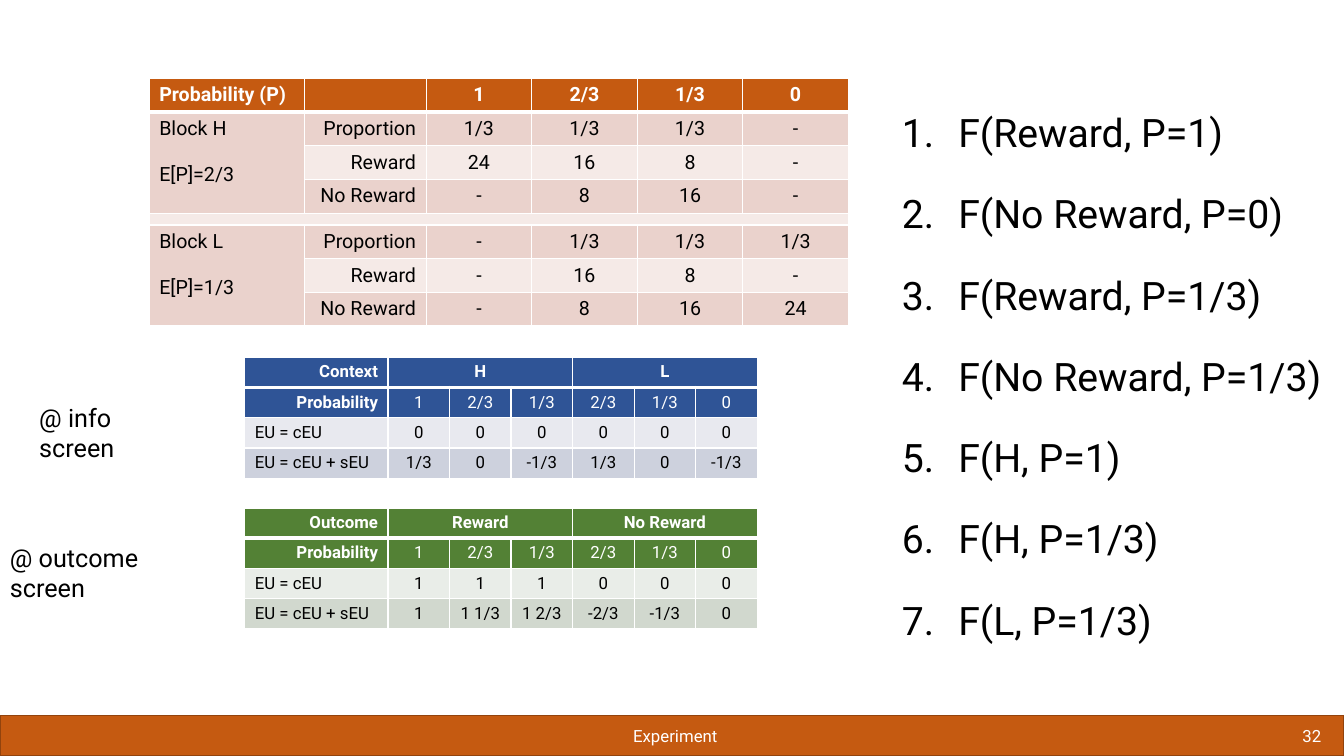
"""Build the experiment slide with probability tables and a list of contrasts."""
from lxml import etree
from pptx import Presentation
from pptx.dml.color import RGBColor
from pptx.enum.shapes import MSO_SHAPE
from pptx.enum.text import MSO_ANCHOR, PP_ALIGN
from pptx.oxml.ns import qn
from pptx.util import Cm, Pt

LEFT, CENTER, RIGHT = PP_ALIGN.LEFT, PP_ALIGN.CENTER, PP_ALIGN.RIGHT
TOP, MIDDLE = MSO_ANCHOR.TOP, MSO_ANCHOR.MIDDLE
RECTANGLE = MSO_SHAPE.RECTANGLE
FONT = "Roboto"
WHITE = RGBColor(0xFF, 0xFF, 0xFF)
BLACK = RGBColor(0x00, 0x00, 0x00)
ORANGE = RGBColor(0xC5, 0x5A, 0x11)
BROWN = RGBColor(0x92, 0x43, 0x0D)
ROSE = RGBColor(0xEA, 0xD2, 0xCC)
PALE_ROSE = RGBColor(0xF5, 0xEA, 0xE7)
BLUE = RGBColor(0x2F, 0x54, 0x96)
PALE_BLUE = RGBColor(0xE8, 0xE9, 0xEF)
LIGHT_BLUE = RGBColor(0xCD, 0xD1, 0xDD)
GREEN = RGBColor(0x53, 0x81, 0x35)
PALE_GREEN = RGBColor(0xE9, 0xED, 0xE8)
LIGHT_GREEN = RGBColor(0xD1, 0xD8, 0xCE)


def add_text(tf, lines, size, color, align=LEFT, bold=False):
    for i, line in enumerate(lines):
        p = tf.paragraphs[0] if i == 0 else tf.add_paragraph()
        p.alignment = align
        r = p.add_run()
        r.text = line
        r.font.name, r.font.size = FONT, Pt(size)
        r.font.color.rgb, r.font.bold = color, bold


def add_grid(left, top, widths, heights, rows, fills, merges, size, label_cols):
    frame = slide.shapes.add_table(
        len(rows), len(widths), Cm(left), Cm(top), Cm(sum(widths)), Cm(sum(heights)))
    table = frame.table
    table.first_row = table.horz_banding = False
    for column, width in zip(table.columns, widths):
        column.width = Cm(width)
    for y, (row, fill) in enumerate(zip(rows, fills)):
        table.rows[y].height = Cm(heights[y])
        dark = fill == fills[0]
        for x, text in enumerate(row):
            cell = table.cell(y, x)
            tcPr = cell._tc.get_or_add_tcPr()
            for side in ("L", "R", "T", "B"):
                thick = (y, side) in ((0, "B"), (1, "T"))
                ln = etree.SubElement(tcPr, qn(f"a:ln{side}"), w=str(Pt(3 if thick else 1)))
                solid = etree.SubElement(ln, qn("a:solidFill"))
                etree.SubElement(solid, qn("a:srgbClr"), val=str(WHITE))
            cell.fill.solid()
            cell.fill.fore_color.rgb = fill
            tf = cell.text_frame
            if not text:
                etree.SubElement(tf.paragraphs[0]._p, qn("a:endParaRPr"), sz="100")
                continue
            align = label_cols[x] if x < len(label_cols) else CENTER
            if dark and x == 0 and len(label_cols) == 1:
                align = RIGHT
            bold = y == 0 or (dark and x == 0)
            add_text(tf, text.split("\n"), size, WHITE if dark else BLACK, align, bold)
            for p in tf.paragraphs[1:]:
                p.space_before = Pt(16.4)
    for y1, x1, y2, x2 in merges:
        table.cell(y1, x1).merge(table.cell(y2, x2))


prs = Presentation()
prs.slide_width, prs.slide_height = Cm(33.87), Cm(19.05)
slide = prs.slides.add_slide(prs.slide_layouts[6])

footer = slide.shapes.add_shape(RECTANGLE, 0, Cm(18.03), prs.slide_width, Cm(1.02))
footer.shadow.inherit = False
footer.fill.solid()
footer.fill.fore_color.rgb = ORANGE
footer.line.color.rgb = BROWN
footer.line.width = Pt(1)

texts = [
    ("Experiment", 5.69, 18.03, 22.66, 1.02, 12, WHITE, CENTER, MIDDLE),
    ("32", 28.32, 18.03, 5.23, 1.02, 12, WHITE, RIGHT, MIDDLE),
    ("@ outcome screen", 0, 13.54, 4.1, 1.8, 18, BLACK, LEFT, TOP),
    ("@ info screen", 0.74, 10.01, 3.2, 1.8, 18, BLACK, LEFT, TOP),
]
for text, left, top, width, height, size, color, align, anchor in texts:
    s = slide.shapes.add_textbox(Cm(left), Cm(top), Cm(width), Cm(height))
    tf = s.text_frame
    tf.word_wrap = True
    tf.vertical_anchor = anchor
    add_text(tf, [text], size, color, align)

design_rows = [
    ["Probability (P)", "", "1", "2/3", "1/3", "0"],
    ["Block H\nE[P]=2/3", "Proportion", "1/3", "1/3", "1/3", "-"],
    ["", "Reward", "24", "16", "8", "-"],
    ["", "No Reward", "-", "8", "16", "-"],
    [""] * 6,
    ["Block L\nE[P]=1/3", "Proportion", "-", "1/3", "1/3", "1/3"],
    ["", "Reward", "-", "16", "8", "-"],
    ["", "No Reward", "-", "8", "16", "24"],
]
add_grid(3.76, 1.98, [3.91, 3.07] + [2.66] * 4, [0.84] * 4 + [0.3] + [0.84] * 3,
         design_rows, [ORANGE, ROSE, PALE_ROSE, ROSE, PALE_ROSE, ROSE, PALE_ROSE, ROSE],
         [(1, 0, 3, 0), (4, 0, 4, 5), (5, 0, 7, 0)], 14, [LEFT, RIGHT])

probabilities = ["Probability", "1", "2/3", "1/3", "2/3", "1/3", "0"]
screens = [
    (9.0, ["Context", "H", "", "", "L", "", ""],
     ["0", "0", "0", "0", "0", "0"],
     ["1/3", "0", "-1/3", "1/3", "0", "-1/3"],
     [BLUE, BLUE, PALE_BLUE, LIGHT_BLUE]),
    (12.8, ["Outcome", "Reward", "", "", "No Reward", "", ""],
     ["1", "1", "1", "0", "0", "0"],
     ["1", "1 1/3", "1 2/3", "-2/3", "-1/3", "0"],
     [GREEN, GREEN, PALE_GREEN, LIGHT_GREEN]),
]
for top, header, ceu, ceu_seu, fills in screens:
    rows = [header, probabilities, ["EU = cEU"] + ceu, ["EU = cEU + sEU"] + ceu_seu]
    add_grid(6.17, top, [3.61] + [1.55] * 6, [0.76] * 4, rows, fills,
             [(0, 1, 0, 3), (0, 4, 0, 6)], 12, [LEFT])

contrasts = [
    "F(Reward, P=1)", "F(No Reward, P=0)", "F(Reward, P=1/3)", "F(No Reward, P=1/3)",
    "F(H, P=1)", "F(H, P=1/3)", "F(L, P=1/3)",
]
s = slide.shapes.add_textbox(Cm(22.48), Cm(2.13), Cm(11.63), Cm(14.17))
tf = s.text_frame
tf.word_wrap = True
add_text(tf, contrasts, 28, BLACK)
for p in tf.paragraphs:
    p.line_spacing = 1.4
    p.space_before = Pt(11)
    pPr = p._p.get_or_add_pPr()
    pPr.set("marL", str(Cm(1.42)))
    pPr.set("indent", str(-Cm(1.42)))
    etree.SubElement(pPr, qn("a:buFont"), typeface="+mj-lt")
    etree.SubElement(pPr, qn("a:buAutoNum"), type="arabicPeriod")

prs.save("out.pptx")
